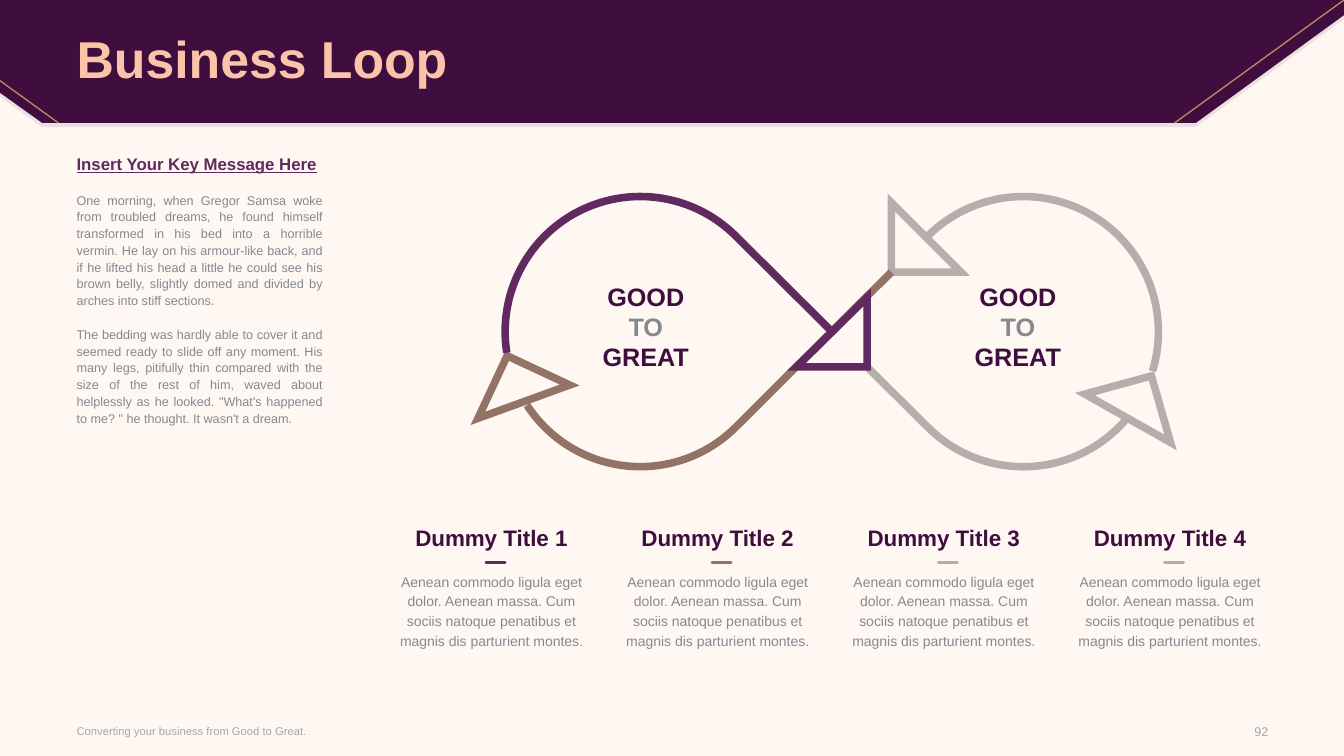
import math

from lxml import etree
from pptx import Presentation
from pptx.dml.color import RGBColor
from pptx.enum import shapes, text
from pptx.oxml.ns import qn
from pptx.util import Inches, Pt

PLUM = RGBColor(0x3F, 0x0D, 0x3E)
PURPLE = RGBColor(0x60, 0x2A, 0x60)
BROWN = RGBColor(0x92, 0x73, 0x65)
TAUPE = RGBColor(0xB6, 0xAE, 0xAB)
GREY = RGBColor(0x85, 0x89, 0x8F)
PALE_GREY = RGBColor(0xA6, 0xA6, 0xA6)
PEACH = RGBColor(0xFB, 0xC4, 0xAA)
GOLD = RGBColor(0xB9, 0x87, 0x63)
CREAM = RGBColor(0xFF, 0xF7, 0xF2)

TITLE = "Business Loop"
KEY_MESSAGE = "Insert Your Key Message Here"
STORY = [
    "One morning, when Gregor Samsa woke from troubled dreams, he found himself transformed in his bed "
    "into a horrible vermin. He lay on his armour-like back, and if he lifted his head a little he could "
    "see his brown belly, slightly domed and divided by arches into stiff sections.",
    "The bedding was hardly able to cover it and seemed ready to slide off any moment. His many legs, "
    "pitifully thin compared with the size of the rest of him, waved about helplessly as he looked. "
    "\"What's happened to me? \" he thought. It wasn't a dream.",
]
FOOTER = "Converting your business from Good to Great."
PAGE = "92"
COLUMNS = [("Dummy Title 1", PURPLE), ("Dummy Title 2", BROWN),
           ("Dummy Title 3", TAUPE), ("Dummy Title 4", TAUPE)]
COLUMN_TEXT = ("Aenean commodo ligula eget dolor. Aenean massa. Cum sociis natoque penatibus "
               "et magnis dis parturient montes.")
SLOGAN = [("GOOD", PLUM), ("TO", GREY), ("GREAT", PLUM)]

WIDTH, HEIGHT = 13.33, 7.5
MARGIN = 0.76
COLUMN_LEFT, COLUMN_PITCH, COLUMN_WIDTH = 3.91, 2.243, 1.93

# Two circles whose 45 degree tangents cross at the middle of the loop
LOOP_Y, RADIUS, BAND = 3.29, 1.34, 5.4
LEFT_X, RIGHT_X = 6.35, 10.15
# colour, circle centre, first angle, last angle (clockwise from east), point before, point after
BANDS = [
    (TAUPE, RIGHT_X, 135, 41, [(8.6, 3.64)], []),
    (TAUPE, RIGHT_X, 225, 377, [], []),
    (BROWN, LEFT_X, 147, 45, [], [(8.84, 2.7)]),
    (PURPLE, LEFT_X, 171, 315, [], [(8.23, 3.27)]),
]
ARROWHEADS = [
    (TAUPE, [(11.42, 3.73), (10.76, 3.91), (11.61, 4.39)]),
    (TAUPE, [(8.84, 2.01), (8.84, 2.7), (9.53, 2.7)]),
    (BROWN, [(5.65, 3.82), (5.03, 3.53), (4.74, 4.15)]),
    (PURPLE, [(7.9, 3.64), (8.6, 3.64), (8.6, 2.95)]),
]
HEADER = [(0, 0), (WIDTH, 0), (WIDTH, 0.15), (11.86, 1.22), (0.42, 1.22), (0, 0.92)]
HEADER_LINES = [((WIDTH, 0), (11.65, 1.22)), ((0, 0.8), (0.58, 1.22))]

presentation = Presentation()
presentation.slide_width, presentation.slide_height = Inches(WIDTH), Inches(HEIGHT)
slide = presentation.slides.add_slide(presentation.slide_layouts[5])
slide.background.fill.solid()
slide.background.fill.fore_color.rgb = CREAM


def add_outline(points, closed, fill=None, line=None, alpha=None):
    start, *rest = [(Inches(x), Inches(y)) for x, y in points]
    builder = slide.shapes.build_freeform(*start)
    builder.add_line_segments(rest, close=closed)
    shape = builder.convert_to_shape()
    shape.shadow.inherit = False
    if fill is None:
        shape.fill.background()
    else:
        shape.fill.solid()
        shape.fill.fore_color.rgb = fill
    if alpha is not None:
        color = shape._element.spPr.find(".//" + qn("a:srgbClr"))
        etree.SubElement(color, qn("a:alpha"), val=str(alpha * 1000))
    if line is None:
        shape.line.fill.background()
    else:
        shape.line.color.rgb = line
        shape.line.width = Pt(BAND)
        outline = shape.line._get_or_add_ln()
        outline.set("cap", "flat")
        etree.SubElement(outline, qn("a:miter"), lim="800000")


def add_line(start, end, color, width, cap="flat"):
    ends = [Inches(value) for value in (*start, *end)]
    connector = slide.shapes.add_connector(shapes.MSO_CONNECTOR.STRAIGHT, *ends)
    connector.line.color.rgb = color
    connector.line.width = Pt(width)
    connector.line._get_or_add_ln().set("cap", cap)
    etree.SubElement(connector._element.spPr, qn("a:effectLst"))


def write(content, left, top, width, height, shape=None, size=10, color=GREY, bold=False, align="LEFT",
          anchor="TOP", spacing=None, after=0):
    """Write paragraphs; each is a string or a tuple (string, font overrides)."""
    box = [Inches(value) for value in (left, top, width, height)]
    if shape is None:
        shape = slide.shapes.add_textbox(*box)
    else:
        shape.left, shape.top, shape.width, shape.height = box
    frame = shape.text_frame
    frame.word_wrap = True
    frame.auto_size = text.MSO_AUTO_SIZE.NONE
    frame.vertical_anchor = text.MSO_ANCHOR[anchor]
    frame.margin_left = frame.margin_right = frame.margin_top = frame.margin_bottom = 0
    for index, item in enumerate(content):
        words, changes = (item, {}) if isinstance(item, str) else item
        style = {"size": size, "color": color, "bold": bold, "underline": False, **changes}
        paragraph = frame.add_paragraph() if index else frame.paragraphs[0]
        paragraph.alignment = text.PP_ALIGN[align]
        paragraph.line_spacing = spacing
        paragraph.space_after = Pt(after)
        run = paragraph.add_run()
        run.text = words
        run.font.name = "Arial"
        run.font.size = Pt(style["size"])
        run.font.bold = style["bold"]
        run.font.underline = style["underline"]
        run.font.color.rgb = style["color"]


def arc(center_x, first, last, steps=60):
    angles = [math.radians(first + (last - first) * step / steps) for step in range(steps + 1)]
    return [(center_x + RADIUS * math.cos(a), LOOP_Y + RADIUS * math.sin(a)) for a in angles]


# Header and title
add_outline([(x, y + 0.04) for x, y in HEADER], True, fill=PLUM, alpha=10)
add_outline(HEADER, True, fill=PLUM)
for start, end in HEADER_LINES:
    add_line(start, end, GOLD, 1)
title = slide.shapes.title
slide.shapes._spTree.append(title._element)
write([TITLE], MARGIN, 0.03, 11.81, 1.17, shape=title, size=37, color=PEACH, bold=True,
      anchor="MIDDLE", spacing=0.9)

# Side text and footer
heading = (KEY_MESSAGE, {"size": 12, "color": PURPLE, "bold": True, "underline": True})
write([heading, *STORY], MARGIN, 1.56, 2.44, 5.19, size=9, align="JUSTIFY", spacing=Pt(12), after=12)
write([FOOTER], MARGIN, 7.12, 5.23, 0.26, size=8, color=PALE_GREY, anchor="MIDDLE")
write([PAGE], 11.95, 7.13, 0.63, 0.26, size=9, color=PALE_GREY, align="RIGHT", anchor="MIDDLE")

# Four captions
for number, (caption, accent) in enumerate(COLUMNS):
    left = COLUMN_LEFT + number * COLUMN_PITCH
    write([COLUMN_TEXT], left, 5.66, COLUMN_WIDTH, 0.79, align="CENTER", spacing=Pt(14))
    add_line((left + 0.91, 5.58), (left + 1.1, 5.58), accent, 2, cap="rnd")
    write([caption], left, 5.2, COLUMN_WIDTH, 0.27, size=16, color=PLUM, bold=True, align="CENTER")

# Loop
for (color, center_x, first, last, before, after), (_, head) in zip(BANDS, ARROWHEADS):
    add_outline(before + arc(center_x, first, last) + after, False, line=color)
    add_outline(head, True, line=color)
for left in (5.35, 9.04):
    write([(word, {"color": color}) for word, color in SLOGAN], left, 2.79, 2.11, 0.99,
          size=18, bold=True, align="CENTER")

presentation.save("out.pptx")
